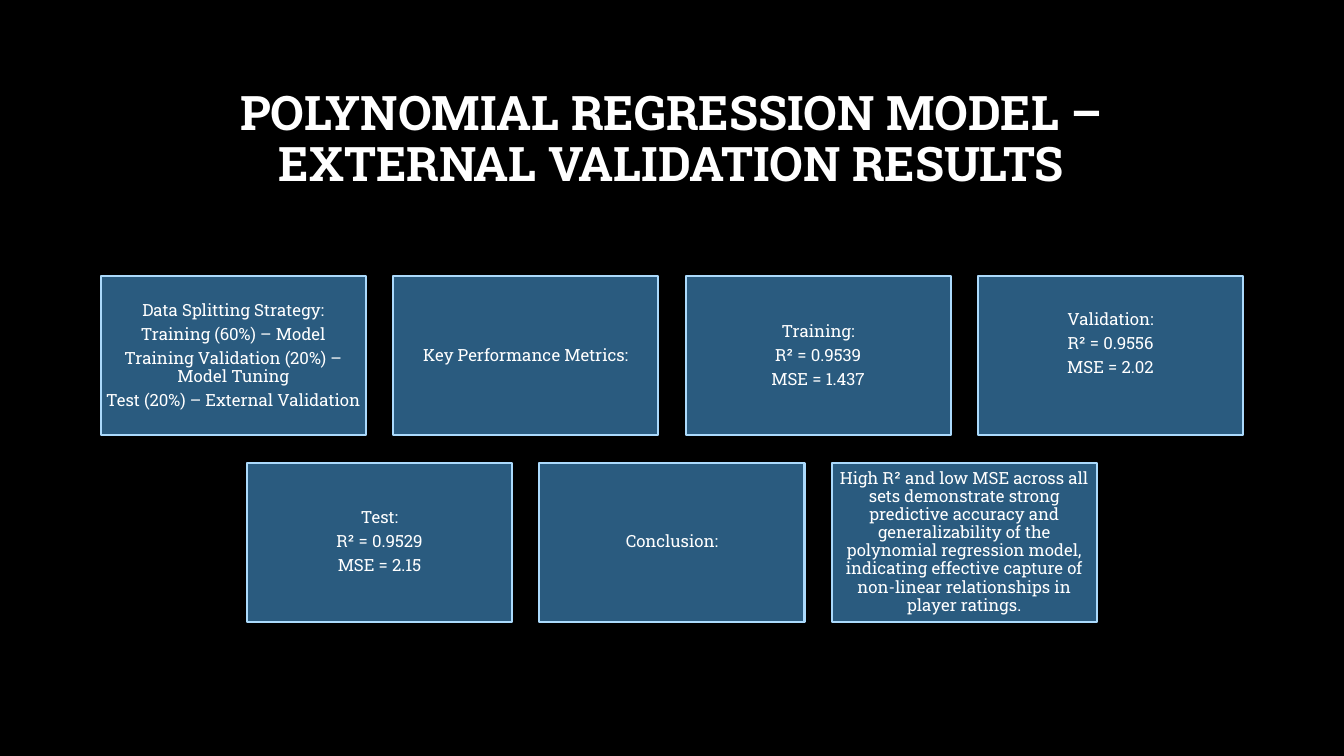
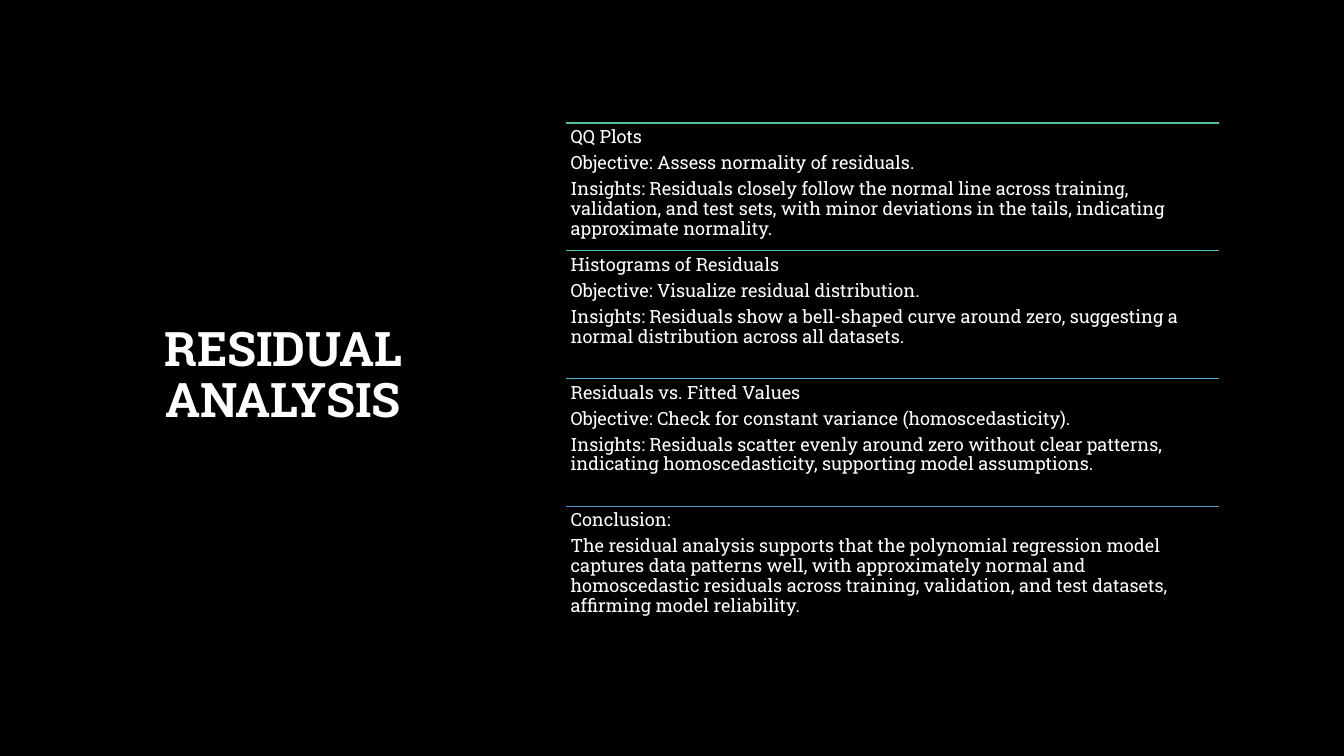
from pptx import Presentation
from pptx.dml.color import RGBColor
from pptx.enum.shapes import MSO_CONNECTOR, MSO_SHAPE
from pptx.enum.text import MSO_ANCHOR, PP_ALIGN
from pptx.oxml.ns import qn
from pptx.util import Inches, Pt
from lxml.etree import SubElement

FONT = "Roboto Slab"
BLACK, WHITE = "000000", "FFFFFF"
CARD_FILL, CARD_LINE = "2A5B7F", "ABDAFC"
SLIDE_WIDTH, SLIDE_HEIGHT = 13.33, 7.5

TITLE_STYLE = {"size": Pt(34), "bold": True}
CARD_STYLE = {"size": Pt(12)}
SECTION_STYLE = {"size": Pt(13)}
CENTERED = {"alignment": PP_ALIGN.CENTER, "line_spacing": 0.9}
CARD_PARAGRAPH = {**CENTERED, "space_after": Pt(4.2)}
SECTION_PARAGRAPH = {
    "alignment": PP_ALIGN.LEFT,
    "line_spacing": 0.9,
    "space_after": Pt(4.5),
}
TIGHT_MARGINS = {
    "margin_left": Inches(0.05),
    "margin_top": Inches(0.05),
    "margin_right": Inches(0.05),
    "margin_bottom": Inches(0.05),
}
RAISED_MARGINS = {**TIGHT_MARGINS, "margin_bottom": Inches(0.29)}

CARD_WIDTH, CARD_HEIGHT, CARD_GAP, CARDS_TOP = 2.63, 1.58, 0.27, 2.74
CARD_ROWS = [
    [
        (["Data Splitting Strategy:",
          "Training (60%) – Model",
          "Training Validation (20%) – Model Tuning",
          "Test (20%) – External Validation"], TIGHT_MARGINS),
        (["Key Performance Metrics:"], TIGHT_MARGINS),
        (["Training:", "R² = 0.9539", "MSE = 1.437"], TIGHT_MARGINS),
        (["Validation:", "R² = 0.9556", "MSE = 2.02"], RAISED_MARGINS),
    ],
    [
        (["Test:", "R² = 0.9529", "MSE = 2.15"], TIGHT_MARGINS),
        (["Conclusion:"], TIGHT_MARGINS),
        (["High R² and low MSE across all sets demonstrate strong predictive "
          "accuracy and generalizability of the polynomial regression model, "
          "indicating effective capture of non-linear relationships "
          "in player ratings."], TIGHT_MARGINS),
    ],
]

SECTIONS_LEFT, SECTIONS_TOP, SECTIONS_WIDTH, SECTIONS_HEIGHT = 5.61, 1.22, 6.48, 5.07
SECTIONS = [
    ("50BEA3", ["QQ Plots",
                "Objective: Assess normality of residuals.",
                "Insights: Residuals closely follow the normal line across "
                "training, validation, and test sets, with minor deviations "
                "in the tails, indicating approximate normality."]),
    ("4EC3BE", ["Histograms of Residuals",
                "Objective: Visualize residual distribution.",
                "Insights: Residuals show a bell-shaped curve around zero, "
                "suggesting a normal distribution across all datasets."]),
    ("4CB3C7", ["Residuals vs. Fitted Values",
                "Objective: Check for constant variance (homoscedasticity).",
                "Insights: Residuals scatter evenly around zero without clear "
                "patterns, indicating homoscedasticity, supporting model "
                "assumptions."]),
    ("4A9CCC", ["Conclusion:",
                "The residual analysis supports that the polynomial regression "
                "model captures data patterns well, with approximately normal "
                "and homoscedastic residuals across training, validation, and "
                "test datasets, affirming model reliability."]),
]


def color(value):
    return RGBColor.from_string(value)


def set_attributes(target, values):
    for name, value in values.items():
        setattr(target, name, value)


def write_text(shape, lines, font_style, paragraph_style, frame_style):
    frame = shape.text_frame
    set_attributes(frame, {"word_wrap": True, **frame_style})
    for index, line in enumerate(lines):
        para = frame.add_paragraph() if index else frame.paragraphs[0]
        set_attributes(para, paragraph_style)
        span = para.add_run()
        span.text = line
        set_attributes(span.font, {"name": FONT, **font_style})
        span.font.color.rgb = color(WHITE)


def add_title(page, text, left, top, width, height):
    box = page.shapes.add_textbox(
        Inches(left), Inches(top), Inches(width), Inches(height))
    write_text(box, [text], TITLE_STYLE, CENTERED,
               {"vertical_anchor": MSO_ANCHOR.MIDDLE})


def add_card(page, left, top, lines, margins):
    card = page.shapes.add_shape(
        MSO_SHAPE.RECTANGLE, Inches(left), Inches(top),
        Inches(CARD_WIDTH), Inches(CARD_HEIGHT))
    card.shadow.inherit = False
    card.fill.solid()
    card.fill.fore_color.rgb = color(CARD_FILL)
    card.line.color.rgb = color(CARD_LINE)
    card.line.width = Pt(1.5)
    write_text(card, lines, CARD_STYLE, CARD_PARAGRAPH,
               {"vertical_anchor": MSO_ANCHOR.MIDDLE, **margins})


def add_rule(page, left, top, width, line_color):
    rule = page.shapes.add_connector(
        MSO_CONNECTOR.STRAIGHT, Inches(left), Inches(top),
        Inches(left + width), Inches(top))
    rule.line.color.rgb = color(line_color)
    rule.line.width = Pt(1)
    SubElement(rule.element.spPr, qn("a:effectLst"))


def add_section(page, top, height, line_color, lines):
    add_rule(page, SECTIONS_LEFT, top, SECTIONS_WIDTH, line_color)
    box = page.shapes.add_textbox(
        Inches(SECTIONS_LEFT), Inches(top), Inches(SECTIONS_WIDTH), Inches(height))
    write_text(box, lines, SECTION_STYLE, SECTION_PARAGRAPH,
               {"vertical_anchor": MSO_ANCHOR.TOP, **TIGHT_MARGINS})


def add_page(deck):
    return deck.slides.add_slide(deck.slide_layouts[6])


def build_validation_page(deck):
    page = add_page(deck)
    add_title(page, "POLYNOMIAL REGRESSION MODEL – EXTERNAL VALIDATION RESULTS",
              1, 0.67, 11.32, 1.45)
    for row, cards in enumerate(CARD_ROWS):
        row_width = len(cards) * (CARD_WIDTH + CARD_GAP) - CARD_GAP
        row_left = (SLIDE_WIDTH - row_width) / 2
        top = CARDS_TOP + row * (CARD_HEIGHT + CARD_GAP)
        for column, (lines, margins) in enumerate(cards):
            left = row_left + column * (CARD_WIDTH + CARD_GAP)
            add_card(page, left, top, lines, margins)


def build_residual_page(deck):
    page = add_page(deck)
    add_title(page, "RESIDUAL ANALYSIS", 0.82, 0.67, 3.98, 6.13)
    height = SECTIONS_HEIGHT / len(SECTIONS)
    for index, (line_color, lines) in enumerate(SECTIONS):
        add_section(page, SECTIONS_TOP + index * height, height, line_color, lines)


def main():
    deck = Presentation()
    deck.slide_width = Inches(SLIDE_WIDTH)
    deck.slide_height = Inches(SLIDE_HEIGHT)
    background = deck.slide_master.background.fill
    background.solid()
    background.fore_color.rgb = color(BLACK)
    build_validation_page(deck)
    build_residual_page(deck)
    deck.save("out.pptx")


if __name__ == "__main__":
    main()
